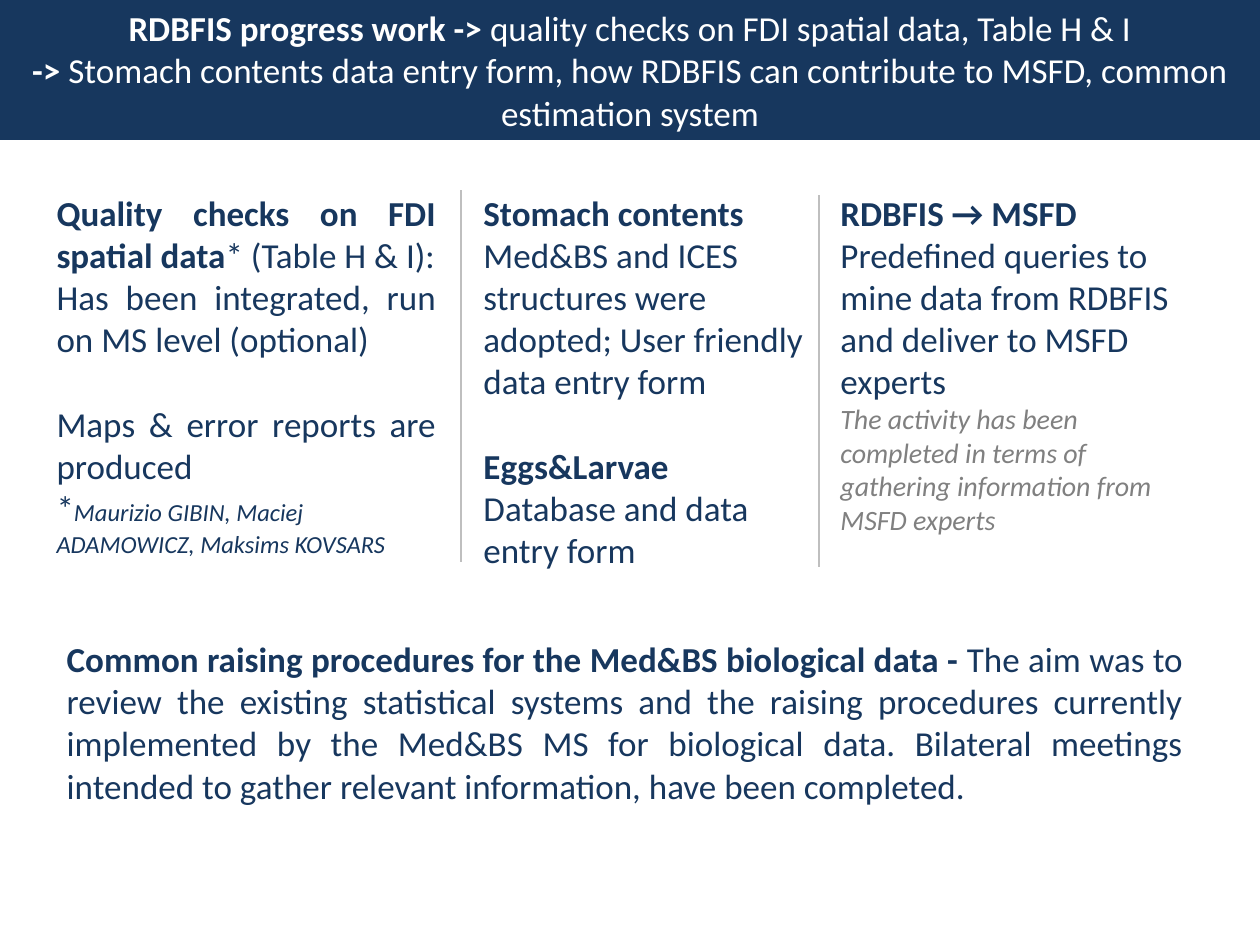
from lxml.etree import SubElement
from pptx import Presentation
from pptx.dml.color import RGBColor
from pptx.enum.shapes import MSO_CONNECTOR
from pptx.enum.text import MSO_ANCHOR, MSO_AUTO_SIZE, PP_ALIGN
from pptx.oxml.ns import qn
from pptx.util import Pt

NAVY = RGBColor(0x17, 0x37, 0x5E)
WHITE = RGBColor(0xFF, 0xFF, 0xFF)
GREY = RGBColor(0x80, 0x80, 0x80)
RULE = RGBColor(0xBF, 0xBF, 0xBF)
FONT = "Calibri"
BODY = 20
SECTION_GAP = 24.4  # one body line

PLAIN = {}
BOLD = {"bold": True}
NAMES = {"size": 14, "italic": True}
REMARK = {"size": 16, "italic": True, "color": GREY}
LEFT, CENTER, JUSTIFY = PP_ALIGN.LEFT, PP_ALIGN.CENTER, PP_ALIGN.JUSTIFY

# Each paragraph: alignment, space before, runs of (text, style)
TITLE = [
    (CENTER, 0, [("RDBFIS progress work -> ", BOLD),
                 ("quality checks on FDI spatial data, Table H & I", PLAIN)]),
    (CENTER, 0, [("-> ", BOLD),
                 ("Stomach contents data entry form, how RDBFIS can contribute "
                  "to MSFD, common estimation system", PLAIN)]),
]
QUALITY_CHECKS = [
    (JUSTIFY, 0, [("Quality checks on FDI spatial data", BOLD),
                  ("* (Table H & I):", PLAIN)]),
    (JUSTIFY, 0, [("Has been integrated, run on MS level (optional)", PLAIN)]),
    (JUSTIFY, SECTION_GAP, [("Maps & error reports are produced", PLAIN)]),
    (LEFT, 0, [("*", PLAIN),
               ("Maurizio GIBIN, Maciej ADAMOWICZ, Maksims KOVSARS", NAMES)]),
]
ENTRY_FORMS = [
    (LEFT, 0, [("Stomach contents", BOLD)]),
    (LEFT, 0, [("Med&BS and ICES structures were adopted; User friendly "
                "data entry form", PLAIN)]),
    (LEFT, SECTION_GAP, [("Eggs&Larvae", BOLD)]),
    (LEFT, 0, [("Database and data entry form", PLAIN)]),
]
MSFD = [
    (LEFT, 0, [("RDBFIS → MSFD", BOLD)]),
    (LEFT, 0, [("Predefined queries to mine data from RDBFIS and deliver "
                "to MSFD experts", PLAIN)]),
    (LEFT, 0, [("The activity has been completed in terms of gathering "
                "information from MSFD experts", REMARK)]),
]
RAISING = [
    (JUSTIFY, 0, [
        ("Common raising procedures for the Med&BS biological data - ", BOLD),
        ("The aim was to review the existing statistical systems and the "
         "raising procedures currently implemented by the Med&BS MS for "
         "biological data. Bilateral meetings intended to gather relevant "
         "information, have been completed.", PLAIN)]),
]

SLIDE_W, SLIDE_H, TITLE_H = 720, 540, 80
COLUMN_TOP = 106
TEXT_BOXES = [  # left, top, width, height, paragraphs
    (25.2, COLUMN_TOP, 231, 218, QUALITY_CHECKS),
    (269.2, COLUMN_TOP, 199, 225.5, ENTRY_FORMS),
    (473.2, COLUMN_TOP, 221, 186.5, MSFD),
    (31, 361, 652, 104.5, RAISING),
]
DIVIDERS = [(263.5, 108.7), (468, 111.6)]  # x, top
DIVIDER_H = 212.4


def write(tf, paragraphs, color):
    tf.word_wrap = True
    tf.auto_size = MSO_AUTO_SIZE.NONE
    for i, (alignment, before, runs) in enumerate(paragraphs):
        p = tf.paragraphs[0] if i == 0 else tf.add_paragraph()
        p.alignment = alignment
        p.space_before = Pt(before)
        for text, style in runs:
            r = p.add_run()
            r.text = text
            r.font.name = FONT
            r.font.size = Pt(style.get("size", BODY))
            r.font.bold = style.get("bold", False)
            r.font.italic = style.get("italic", False)
            r.font.color.rgb = style.get("color", color)


def add_divider(s, x, top):
    line = s.shapes.add_connector(MSO_CONNECTOR.STRAIGHT, Pt(x), Pt(top),
                                  Pt(x), Pt(top + DIVIDER_H))
    line.line.color.rgb = RULE
    line.line.width = Pt(0.75)
    SubElement(line._element.spPr, qn("a:effectLst"))


def main():
    prs = Presentation()
    prs.slide_width, prs.slide_height = Pt(SLIDE_W), Pt(SLIDE_H)
    s = prs.slides.add_slide(prs.slide_layouts[5])

    title = s.shapes.title
    title.left, title.top = Pt(0), Pt(0)
    title.width, title.height = Pt(SLIDE_W), Pt(TITLE_H)
    title.fill.solid()
    title.fill.fore_color.rgb = NAVY
    title.text_frame.vertical_anchor = MSO_ANCHOR.MIDDLE
    write(title.text_frame, TITLE, WHITE)

    for left, top, width, height, paragraphs in TEXT_BOXES:
        box = s.shapes.add_textbox(Pt(left), Pt(top), Pt(width), Pt(height))
        write(box.text_frame, paragraphs, NAVY)

    for x, top in DIVIDERS:
        add_divider(s, x, top)

    prs.save("out.pptx")


if __name__ == "__main__":
    main()
